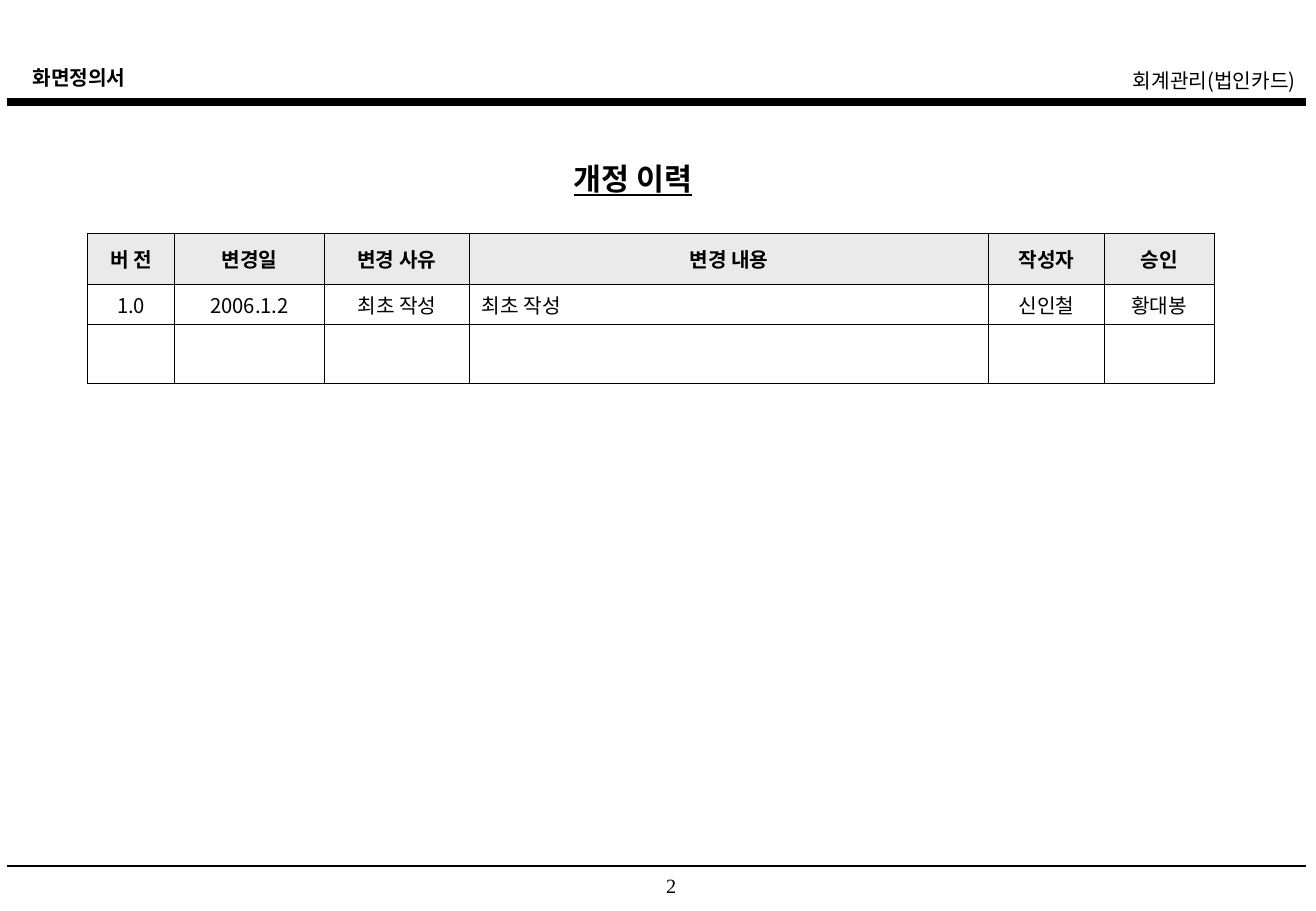
from dataclasses import dataclass

from lxml import etree
from pptx import Presentation
from pptx import util as u
from pptx.dml.color import RGBColor
from pptx.enum import text
from pptx.enum.shapes import MSO_CONNECTOR
from pptx.oxml.ns import qn


@dataclass(frozen=True)
class Theme:
    ink: str = "000000"
    header_fill: str = "EAEAEA"
    body_font: str = "Noto Sans CJK KR"
    number_font: str = "Times New Roman"
    body_size: float = 12
    title_size: float = 18
    thick_rule: float = 4.5
    thin_rule: float = 1
    border: float = 0.45


THEME = Theme()
LEFT, CENTER, RIGHT = text.PP_ALIGN.LEFT, text.PP_ALIGN.CENTER, text.PP_ALIGN.RIGHT
SLIDE_WIDTH, SLIDE_HEIGHT = 10.84, 7.5

COLUMN_WIDTHS = [0.72, 1.23, 1.2, 4.27, 0.96, 0.9]
COLUMN_ALIGNMENTS = [CENTER, CENTER, CENTER, LEFT, CENTER, CENTER]
ROW_HEIGHTS = [0.42, 0.33, 0.49]
REVISIONS = [
    ["버 전", "변경일", "변경 사유", "변경 내용", "작성자", "승인"],
    ["1.0", "2006.1.2", "최초 작성", "최초 작성", "신인철", "황대봉"],
    [""] * 6,
]


def write(frame, wording, size=THEME.body_size, font=THEME.body_font,
          align=LEFT, bold=False, underline=False):
    frame.text = wording
    paragraph = frame.paragraphs[0]
    paragraph.alignment = align
    for run in paragraph.runs:
        run.font.size = u.Pt(size)
        run.font.name = font
        run.font.bold = bold
        run.font.underline = underline
        run.font.color.rgb = RGBColor.from_string(THEME.ink)
        east_asian = etree.Element(qn("a:ea"), typeface=font)
        run.font._element.find(qn("a:latin")).addnext(east_asian)


def add_text(slide, box, wording, grow=True, **style):
    shape = slide.shapes.add_textbox(*map(u.Inches, box))
    frame = shape.text_frame
    frame.word_wrap = True
    write(frame, wording, **style)
    if grow:
        frame.auto_size = text.MSO_AUTO_SIZE.SHAPE_TO_FIT_TEXT


def add_rule(slide, left, top, width, weight):
    line = slide.shapes.add_connector(
        MSO_CONNECTOR.STRAIGHT, *map(u.Inches, (left, top, left + width, top)))
    line.line.color.rgb = RGBColor.from_string(THEME.ink)
    line.line.width = u.Pt(weight)
    etree.SubElement(line._element.spPr, qn("a:effectLst"))


def add_page_header(slide, left, top, width):
    add_text(slide, (left + 0.11, top, 4.35, 0.3), "화면정의서", bold=True)
    add_text(slide, (left + width - 4.68, top + 0.02, 4.69, 0.3),
             "회계관리(법인카드)", align=RIGHT)
    add_rule(slide, left, top + 0.35, width, THEME.thick_rule)


def add_page_footer(slide, left, top, width):
    add_rule(slide, left, top, width, THEME.thin_rule)
    add_text(slide, (left + 5.2, top + 0.01, 0.54, 0.27), "2", grow=False,
             font=THEME.number_font, align=CENTER)


def set_borders(cell):
    properties = cell._tc.get_or_add_tcPr()
    for position, side in enumerate(("lnL", "lnR", "lnT", "lnB")):
        border = etree.Element(qn(f"a:{side}"), w=str(u.Pt(THEME.border)))
        fill = etree.SubElement(border, qn("a:solidFill"))
        etree.SubElement(fill, qn("a:srgbClr"), val=THEME.ink)
        properties.insert(position, border)


def add_revision_table(slide, left, top):
    box = (left, top, sum(COLUMN_WIDTHS), sum(ROW_HEIGHTS))
    table = slide.shapes.add_table(
        len(ROW_HEIGHTS), len(COLUMN_WIDTHS), *map(u.Inches, box)).table
    table.horz_banding = False
    for column, width in zip(table.columns, COLUMN_WIDTHS):
        column.width = u.Inches(width)
    for row_index, (row, height) in enumerate(zip(table.rows, ROW_HEIGHTS)):
        row.height = u.Inches(height)
        is_header = row_index == 0
        for cell, wording, align in zip(
                row.cells, REVISIONS[row_index], COLUMN_ALIGNMENTS):
            cell.vertical_anchor = text.MSO_ANCHOR.MIDDLE
            write(cell.text_frame, wording, bold=is_header,
                  align=CENTER if is_header else align)
            if is_header:
                cell.fill.solid()
                cell.fill.fore_color.rgb = RGBColor.from_string(THEME.header_fill)
            else:
                cell.fill.background()
            set_borders(cell)


def add_revision_slide(presentation):
    slide = presentation.slides.add_slide(presentation.slide_layouts[6])
    add_page_header(slide, 0.06, 0.49, 10.7)
    add_page_footer(slide, 0.06, 7.13, 10.7)
    add_text(slide, (4.63, 1.27, 1.53, 0.4), "개정 이력",
             size=THEME.title_size, bold=True, underline=True)
    add_revision_table(slide, 0.72, 1.92)


def main():
    presentation = Presentation()
    presentation.slide_width = u.Inches(SLIDE_WIDTH)
    presentation.slide_height = u.Inches(SLIDE_HEIGHT)
    add_revision_slide(presentation)
    presentation.save("out.pptx")


if __name__ == "__main__":
    main()
